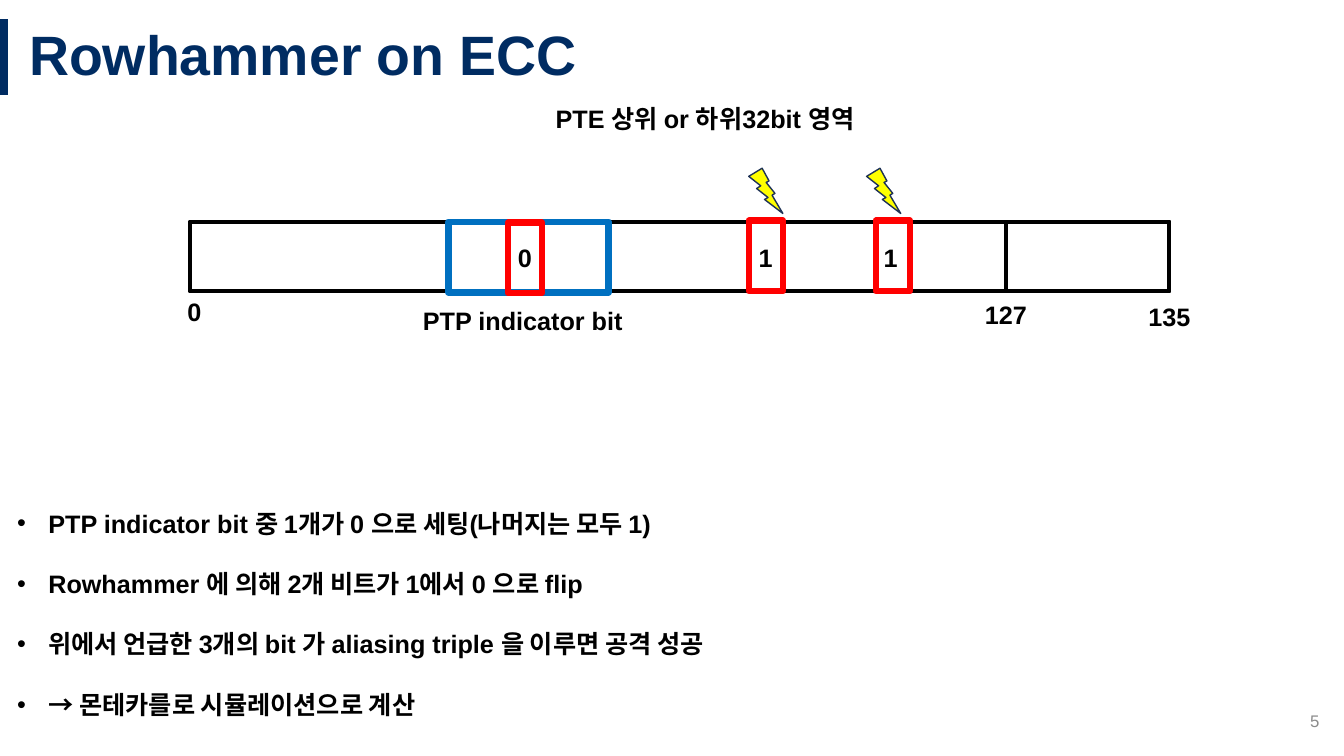
from lxml.etree import SubElement
from pptx import Presentation
from pptx.dml.color import RGBColor
from pptx.enum.shapes import MSO_CONNECTOR, MSO_SHAPE
from pptx.enum.text import MSO_ANCHOR, PP_ALIGN
from pptx.oxml.ns import qn
from pptx.util import Cm, Pt

COLORS = {
    "navy": "002C62", "black": "000000", "gray": "8C8C8C", "red": "FF0000",
    "blue": "0070C0", "yellow": "FFFF00", "bolt_edge": "1E3256",
}

prs = Presentation()
prs.slide_width, prs.slide_height = Cm(33.87), Cm(19.05)
slide = prs.slides.add_slide(prs.slide_layouts[5])


def add_label(text, left, top, width, height=1.02, align=PP_ALIGN.LEFT,
              size=18, color="black", bold=True):
    """Add a text box with one formatted paragraph per line of text."""
    label = slide.shapes.add_textbox(Cm(left), Cm(top), Cm(width), Cm(height))
    frame = label.text_frame
    frame.text = text
    frame.word_wrap = align == PP_ALIGN.LEFT
    for paragraph in frame.paragraphs:
        paragraph.alignment = align
        for run in paragraph.runs:
            run.font.name = "Arial"
            run.font.size = Pt(size)
            run.font.bold = bold
            run.font.color.rgb = RGBColor.from_string(COLORS[color])
    return frame


def add_outline(preset, left, top, width, height, color, weight, fill=None):
    outline = slide.shapes.add_shape(preset, Cm(left), Cm(top), Cm(width), Cm(height))
    outline.shadow.inherit = False
    outline.line.color.rgb = RGBColor.from_string(COLORS[color])
    outline.line.width = Pt(weight)
    if fill:
        outline.fill.solid()
        outline.fill.fore_color.rgb = RGBColor.from_string(COLORS[fill])
    else:
        outline.fill.background()


# Title with its accent bar
accent = slide.shapes.add_connector(MSO_CONNECTOR.STRAIGHT, Cm(0.1), Cm(0.48), Cm(0.1), Cm(2.4))
accent.line.color.rgb = RGBColor.from_string(COLORS["navy"])
accent.line.width = Pt(6)
SubElement(accent._element.spPr, qn("a:effectLst"))

title = slide.shapes.title
title.left, title.top, title.width, title.height = Cm(0.48), Cm(0.48), Cm(33.39), Cm(1.92)
title.text_frame.text = "Rowhammer on ECC"
title.text_frame.vertical_anchor = MSO_ANCHOR.MIDDLE
heading = title.text_frame.paragraphs[0]
heading.alignment = PP_ALIGN.LEFT
heading.line_spacing = 0.9
heading_font = heading.runs[0].font
heading_font.name = "Arial"
heading_font.size = Pt(39.6)
heading_font.bold = True
heading_font.color.rgb = RGBColor.from_string(COLORS["navy"])

page_number = add_label("5", 25.88, 17.65, 7.62, align=PP_ALIGN.RIGHT,
                        size=12, color="gray", bold=False)
page_number.word_wrap = True
page_number.vertical_anchor = MSO_ANCHOR.MIDDLE

# Explanation
explanation = add_label(
    "PTP indicator bit 중 1개가 0 으로 세팅(나머지는 모두 1)\n"
    "Rowhammer 에 의해 2개 비트가 1에서 0 으로 flip\n"
    "위에서 언급한 3개의 bit 가 aliasing triple 을 이루면 공격 성공\n"
    "→ 몬테카를로 시뮬레이션으로 계산",
    0.18, 11.91, 33.3, 6.17)
for point in explanation.paragraphs:
    point.line_spacing = 2.0
    properties = point._p.get_or_add_pPr()
    properties.set("marL", str(Cm(0.79)))
    properties.set("indent", str(-Cm(0.79)))
    SubElement(properties, qn("a:buFont"), typeface="Arial")
    SubElement(properties, qn("a:buChar"), char="•")

# Code word: 128 data bits followed by 8 check bits
for left, width in [(4.78, 24.69), (25.35, 4.12)]:
    add_outline(MSO_SHAPE.RECTANGLE, left, 5.59, width, 1.75, "black", 3)
add_label("0", 4.47, 7.34, 0.94)
add_label("127", 24.51, 7.42, 1.68, align=PP_ALIGN.CENTER)
add_label("135", 28.63, 7.47, 1.68, align=PP_ALIGN.CENTER)

# PTP indicator range, the three bits involved and the flips
add_outline(MSO_SHAPE.RECTANGLE, 11.3, 5.59, 4.04, 1.78, "blue", 4.5)
for left, top in [(12.8, 5.61), (18.87, 5.56), (22.07, 5.56)]:
    add_outline(MSO_SHAPE.RECTANGLE, left, top, 0.86, 1.78, "red", 4.5)
for bit, left in [("0", 12.8), ("1", 18.87), ("1", 22.02)]:
    add_label(bit, left, 5.99, 0.94)
for left in [18.87, 21.84]:
    add_outline(MSO_SHAPE.LIGHTNING_BOLT, left, 4.24, 0.86, 1.14, "bolt_edge", 1, "yellow")
add_label("PTP indicator bit", 10.41, 7.57, 6.76)
add_label("PTE 상위 or 하위32bit 영역", 13.34, 2.49, 8.86, align=PP_ALIGN.CENTER)

prs.save("out.pptx")
